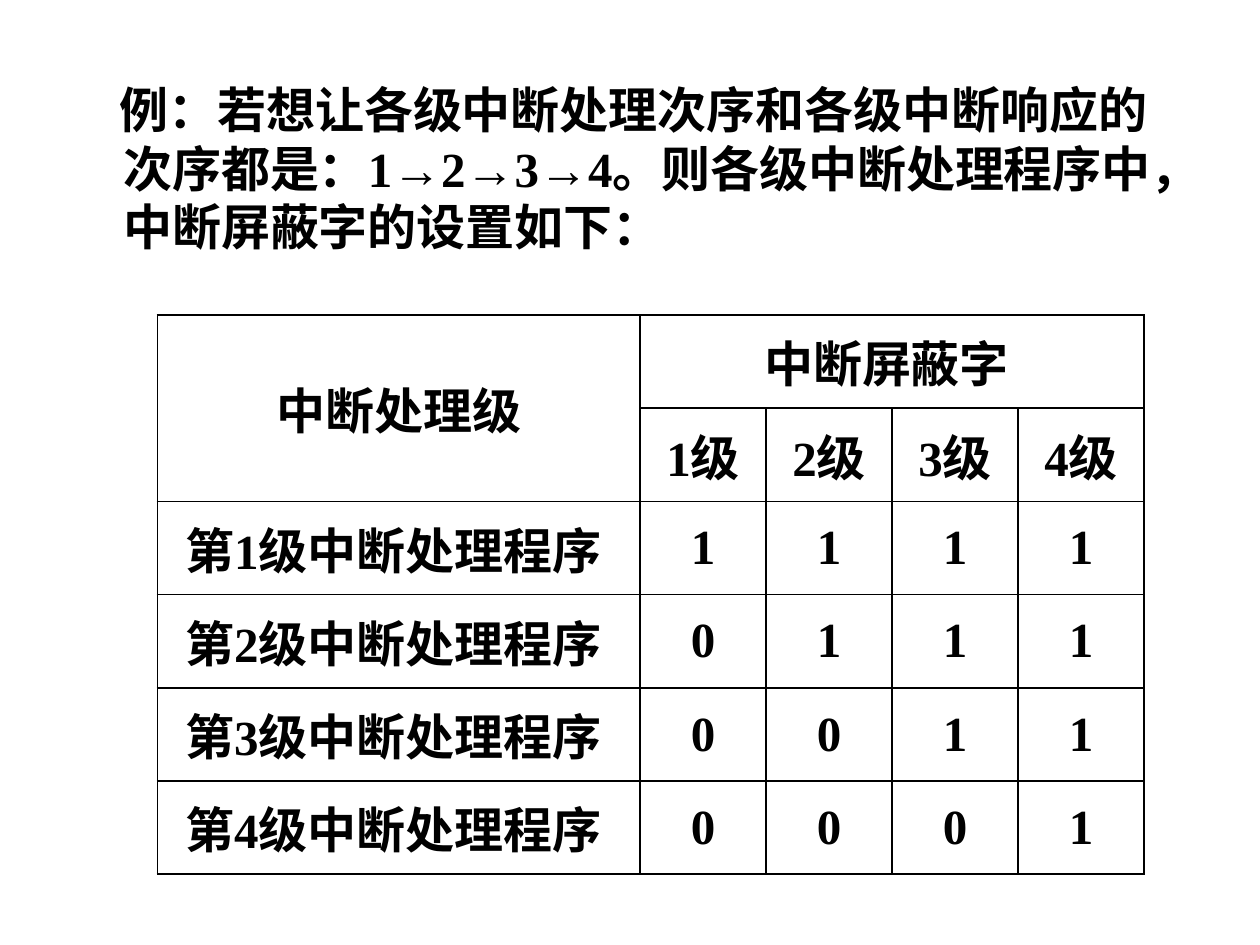
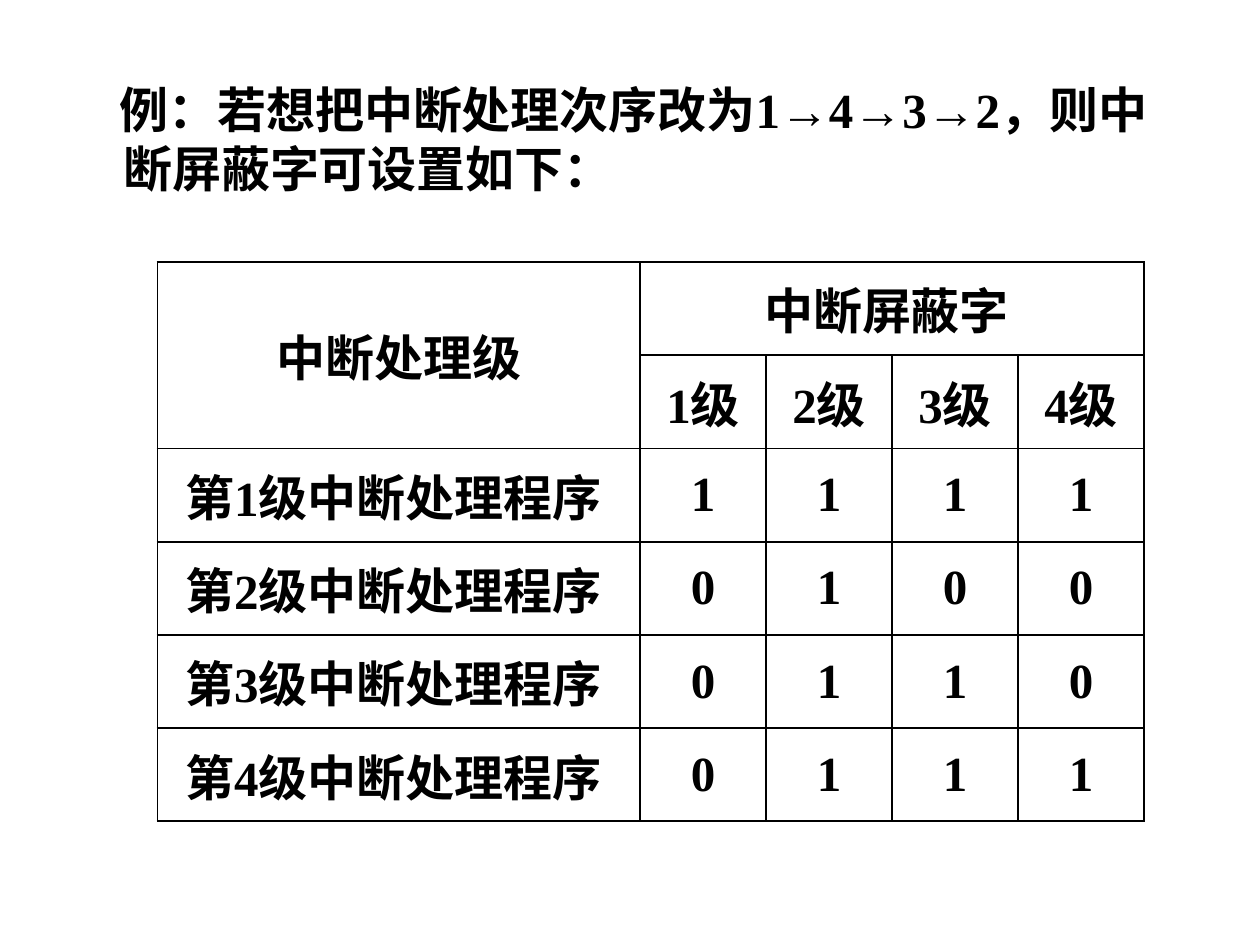
from dataclasses import dataclass

from lxml import etree
from pptx import Presentation
from pptx.dml.color import RGBColor
from pptx.enum.lang import MSO_LANGUAGE_ID
from pptx.enum.text import MSO_ANCHOR, PP_ALIGN
from pptx.oxml.ns import qn
from pptx.util import Pt

PX = 9144
LEFT = PP_ALIGN.LEFT
CENTER = PP_ALIGN.CENTER
MIDDLE = MSO_ANCHOR.MIDDLE
CHINESE = MSO_LANGUAGE_ID.SIMPLIFIED_CHINESE


@dataclass(frozen=True)
class Theme:
    ink: str = "000000"
    paper: str = "FFFFFF"
    font: str = "Times New Roman"
    size: int = 28
    line_pitch: float = 33.6
    border: float = 1.08


THEME = Theme()
LEVELS = range(1, 5)
LEVEL_WIDTH = 100
PROGRAM_WIDTH = 383
ROW_HEIGHT = 74

EXAMPLES = [
    (
        "例：若想让各级中断处理次序和各级中断响应的次序都是：1→2→3→4。"
        "则各级中断处理程序中，中断屏蔽字的设置如下：",
        250,
        ["1111", "0111", "0011", "0001"],
    ),
    (
        "例：若想把中断处理次序改为1→4→3→2，则中断屏蔽字可设置如下：",
        208,
        ["1111", "0100", "0110", "0111"],
    ),
]


def write(frame, text, align=LEFT, margin=0, indent=0, pitch=None):
    frame.word_wrap = True
    paragraph = frame.paragraphs[0]
    paragraph.alignment = align
    if pitch:
        paragraph.line_spacing = Pt(pitch)
    if margin:
        properties = paragraph._p.get_or_add_pPr()
        properties.set("marL", str(margin * PX))
        properties.set("indent", str(indent * PX))
    run = paragraph.add_run()
    run.text = text
    run.font.name = THEME.font
    run.font.size = Pt(THEME.size)
    run.font.bold = True
    run.font.color.rgb = RGBColor.from_string(THEME.ink)
    run.font.language_id = CHINESE


def add_question(slide, text):
    question = slide.shapes.add_textbox(50 * PX, 58 * PX, 900 * PX, 612 * PX)
    write(question.text_frame, text, margin=38, indent=-3, pitch=THEME.line_pitch)


def outline(cell):
    properties = cell._tc.get_or_add_tcPr()
    for side in ("a:lnL", "a:lnR", "a:lnT", "a:lnB"):
        line = etree.SubElement(properties, qn(side), w=str(Pt(THEME.border)))
        fill = etree.SubElement(line, qn("a:solidFill"))
        etree.SubElement(fill, qn("a:srgbClr"), val=THEME.ink)
    cell.fill.background()


def add_mask_table(slide, top, masks):
    rows = [
        ["中断处理级", "中断屏蔽字 ", "", "", ""],
        ["", *(f"{level}级" for level in LEVELS)],
        *([f"第{level}级中断处理程序 ", *mask] for level, mask in zip(LEVELS, masks)),
    ]
    widths = [PROGRAM_WIDTH] + [LEVEL_WIDTH] * len(LEVELS)
    table = slide.shapes.add_table(
        len(rows), len(widths), 125 * PX, top * PX,
        sum(widths) * PX, len(rows) * ROW_HEIGHT * PX,
    ).table
    table.first_row = False
    table.horz_banding = False
    for column, width in zip(table.columns, widths):
        column.width = width * PX
    for r, row in enumerate(rows):
        table.rows[r].height = ROW_HEIGHT * PX
        for c, text in enumerate(row):
            cell = table.cell(r, c)
            outline(cell)
            cell.vertical_anchor = MIDDLE
            if text:
                write(cell.text_frame, text, align=CENTER)
    table.cell(0, 0).merge(table.cell(1, 0))
    table.cell(0, 1).merge(table.cell(0, len(LEVELS)))


def main():
    deck = Presentation()
    deck.slide_width = 1000 * PX
    deck.slide_height = 750 * PX
    for question, table_top, masks in EXAMPLES:
        slide = deck.slides.add_slide(deck.slide_layouts[6])
        slide.background.fill.solid()
        slide.background.fill.fore_color.rgb = RGBColor.from_string(THEME.paper)
        add_question(slide, question)
        add_mask_table(slide, table_top, masks)
    deck.save("out.pptx")


if __name__ == "__main__":
    main()
